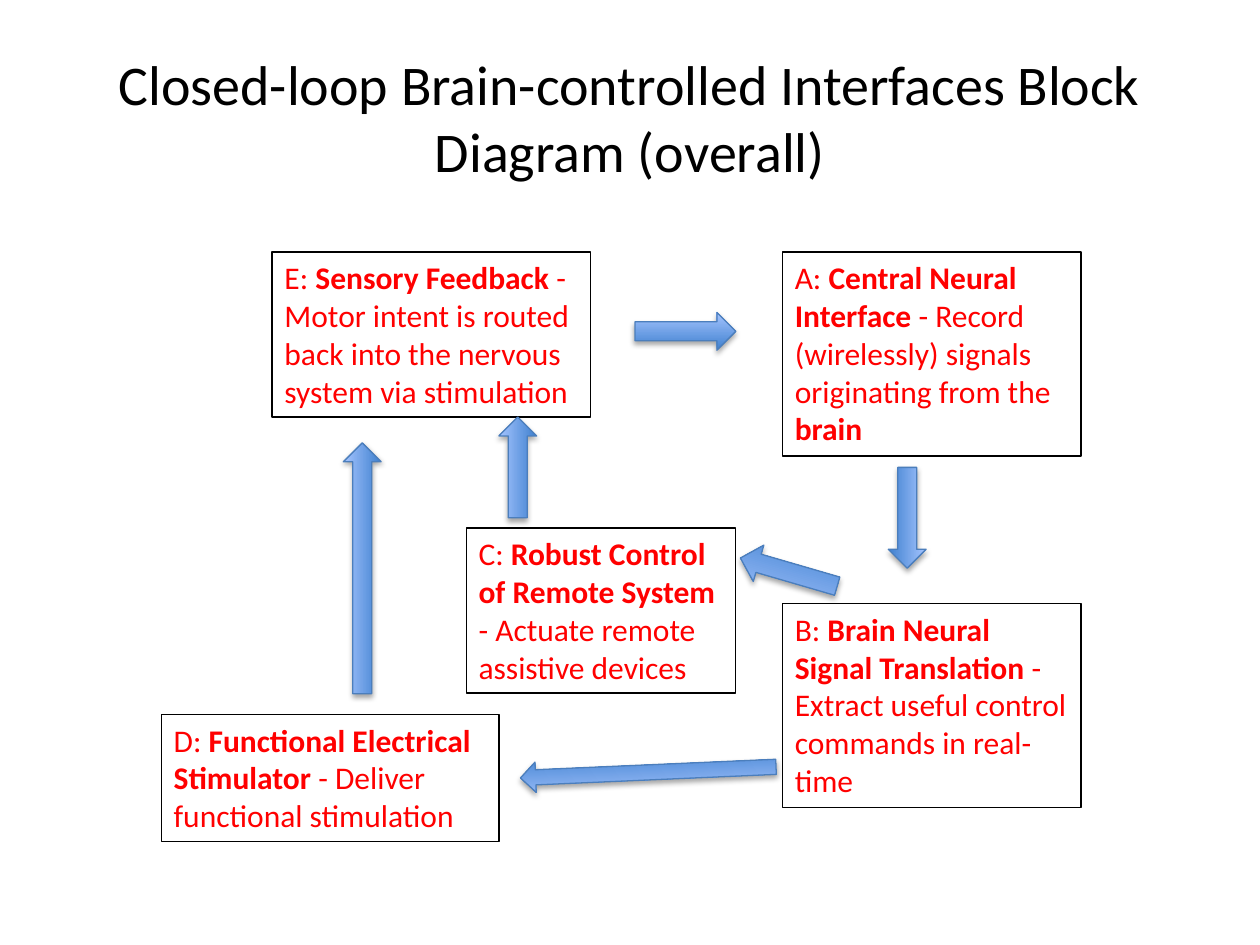
from lxml import etree
from pptx import Presentation
from pptx.dml.color import RGBColor
from pptx.enum.shapes import MSO_SHAPE
from pptx.enum.text import MSO_ANCHOR, MSO_AUTO_SIZE, PP_ALIGN
from pptx.oxml.ns import qn
from pptx.util import Inches, Pt

ARROW = MSO_SHAPE.RIGHT_ARROW
TOP, MIDDLE = MSO_ANCHOR.TOP, MSO_ANCHOR.MIDDLE
LEFT, CENTER = PP_ALIGN.LEFT, PP_ALIGN.CENTER
GROW, FIXED = MSO_AUTO_SIZE.SHAPE_TO_FIT_TEXT, MSO_AUTO_SIZE.NONE

BLACK = RGBColor(0x00, 0x00, 0x00)
RED = RGBColor(0xFF, 0x00, 0x00)
DEEP_BLUE = RGBColor(0x3F, 0x80, 0xCE)
PALE_BLUE = RGBColor(0xA4, 0xC4, 0xFF)
EDGE_BLUE = RGBColor(0x4B, 0x7E, 0xBC)

TITLE = "Closed-loop Brain-controlled Interfaces Block Diagram (overall)"

BLOCKS = [
    ((6.21, 2, 2.37, 1.62),
     ["A: ", "Central Neural Interface ",
      "- Record (wirelessly) signals originating from the ", "brain"]),
    ((6.21, 4.79, 2.37, 1.62),
     ["B: ", "Brain Neural Signal Translation ",
      "- Extract useful control commands in real-time"]),
    ((3.7, 4.19, 2.14, 1.31),
     ["C: ", "Robust Control of Remote System ", "- Actuate remote assistive devices"]),
    ((1.28, 5.67, 2.68, 1.01),
     ["D: ", "Functional Electrical Stimulator ", "- Deliver functional stimulation"]),
    ((2.16, 2, 2.53, 1.31),
     ["E: ", "Sensory Feedback ",
      "- Motor intent is routed back into the nervous system via stimulation"]),
]

ARROWS = [
    ((5.04, 2.48, 0.8, 0.3), 0),
    ((1.88, 4.36, 1.99, 0.3), 270),
    ((3.71, 3.56, 0.8, 0.3), 270),
    ((4.13, 6.01, 2.03, 0.24), 177.5),
    ((5.86, 4.39, 0.8, 0.3), 196.2),
    ((6.8, 3.96, 0.8, 0.3), 90),
]


def add_text(s, box, parts, size=18, color=RED, align=LEFT, anchor=TOP, fit=GROW):
    sp = s.shapes.add_textbox(*map(Inches, box))
    tf = sp.text_frame
    tf.word_wrap = True
    tf.auto_size = fit
    tf.vertical_anchor = anchor
    p = tf.paragraphs[0]
    p.alignment = align
    for i, text in enumerate(parts):
        r = p.add_run()
        r.text = text
        r.font.name = "Calibri"
        r.font.size = Pt(size)
        r.font.bold = i % 2 == 1
        r.font.color.rgb = color
    return sp


def set_line(sp, color):
    sp.line.color.rgb = color
    sp.line.width = Pt(0.75)


def add_shadow(sp):
    sp.shadow.inherit = False
    effects = sp._element.spPr.find(qn("a:effectLst"))
    shadow = etree.SubElement(effects, qn("a:outerShdw"), blurRad=str(Pt(3.1)),
                              dist=str(Pt(1.8)), dir="5400000", rotWithShape="0")
    black = etree.SubElement(shadow, qn("a:srgbClr"), val=str(BLACK))
    etree.SubElement(black, qn("a:alpha"), val="35000")


def add_arrow(s, box, rotation):
    sp = s.shapes.add_shape(ARROW, *map(Inches, box))
    sp.rotation = rotation
    sp.fill.gradient()
    sp.fill.gradient_angle = 90
    for stop, color, position in zip(sp.fill.gradient_stops, (DEEP_BLUE, PALE_BLUE), (0, 1)):
        stop.color.rgb = color
        stop.position = position
    set_line(sp, EDGE_BLUE)
    add_shadow(sp)


def main():
    prs = Presentation()
    prs.slide_width, prs.slide_height = Inches(10), Inches(7.5)
    s = prs.slides.add_slide(prs.slide_layouts[6])
    add_text(s, (0.5, 0.3, 9, 1.25), [TITLE], size=32, color=BLACK,
             align=CENTER, anchor=MIDDLE, fit=FIXED)
    for box, parts in BLOCKS:
        set_line(add_text(s, box, parts), BLACK)
    for box, rotation in ARROWS:
        add_arrow(s, box, rotation)
    prs.save("out.pptx")


if __name__ == "__main__":
    main()
